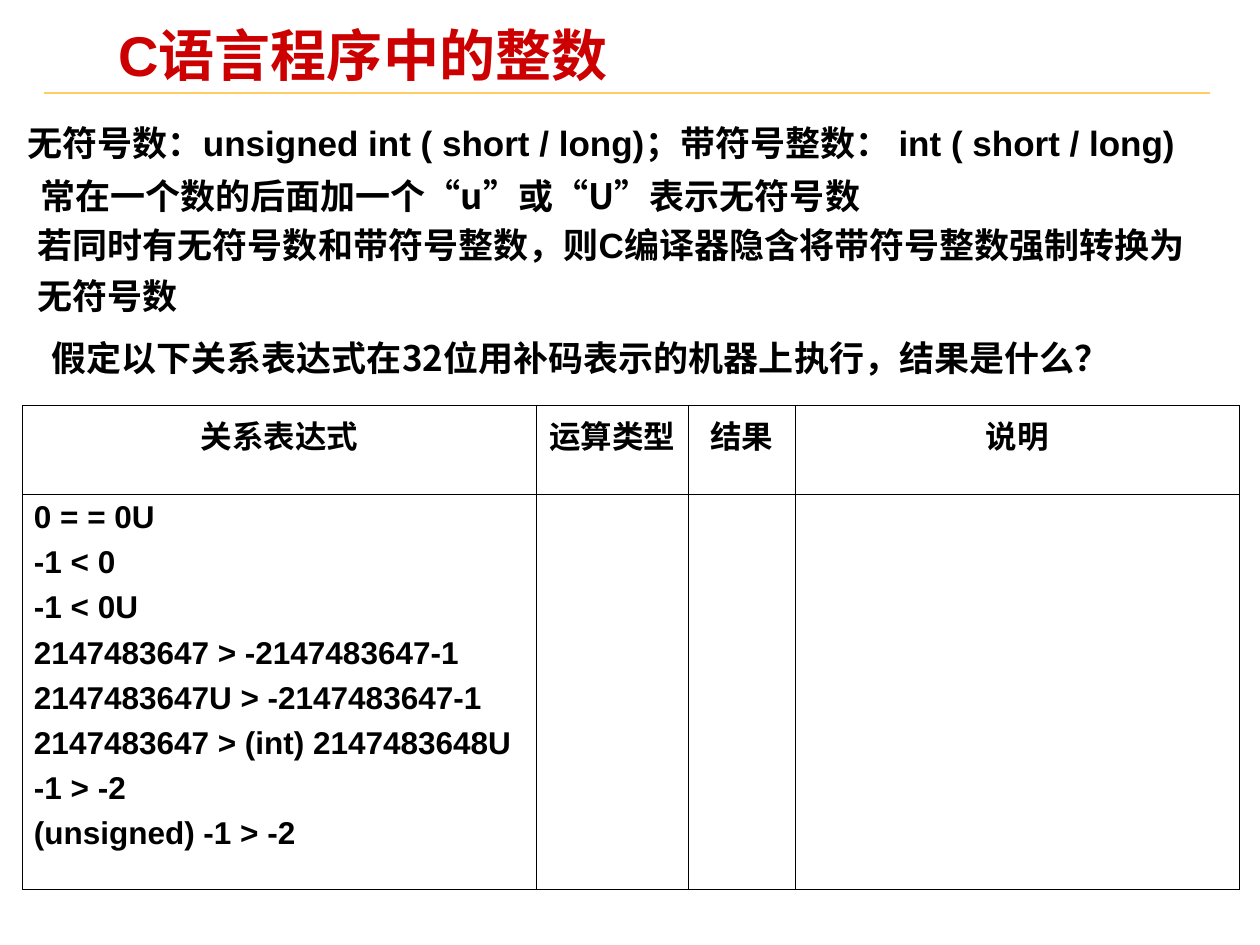
from lxml import etree
from pptx import Presentation
from pptx.dml.color import RGBColor
from pptx.enum.shapes import MSO_CONNECTOR
from pptx.enum.text import MSO_ANCHOR, PP_ALIGN
from pptx.oxml.ns import qn
from pptx.util import Inches, Pt

LINE = MSO_CONNECTOR.STRAIGHT
TOP, MID = MSO_ANCHOR.TOP, MSO_ANCHOR.MIDDLE
LEFT, MID_ROW = PP_ALIGN.LEFT, PP_ALIGN.CENTER

HUES = {"title": "CC0000", "text": "000000", "rule": "FFCC66"}
SANS, HAN = "Arial", "Noto Sans CJK SC"

TITLE = "C语言程序中的整数"
NOTES = [
    ("无符号数：unsigned int ( short / long)；带符号整数： int ( short / long)",
     (0.12, 0.85, 9.51, 0.5), SANS, False, {"line_spacing": 1.2, "space_before": Pt(7.5)}),
    ("常在一个数的后面加一个“u”或“U”表示无符号数",
     (0.22, 1.27, 7.43, 0.5), HAN, True, {"line_spacing": 1.2, "space_before": Pt(7.5)}),
    ("若同时有无符号数和带符号整数，则C编译器隐含将带符号整数强制转换为无符号数",
     (0.2, 1.66, 9.51, 0.9), SANS, True, {"line_spacing": 1.2, "space_before": Pt(7.5)}),
    ("假定以下关系表达式在32位用补码表示的机器上执行，结果是什么？",
     (0.31, 2.62, 8.93, 0.44), HAN, True, {"space_before": Pt(12.5)}),
]
HEADS = ["关系表达式", "运算类型", "结果", "说明"]
TESTS = [
    "0 = = 0U",
    "-1 < 0",
    "-1 < 0U",
    "2147483647 > -2147483647-1",
    "2147483647U > -2147483647-1",
    "2147483647 > (int) 2147483648U",
    "-1 > -2",
    "(unsigned) -1 > -2",
]
COLS = [4.08, 1.2, 0.85, 3.53]
ROWS = [0.7, 3.14]


def apply(item, form):
    for key, val in form.items():
        setattr(item, key, val)


def write(frame, lines, size, face, hue, form, hang=0):
    for num, line in enumerate(lines):
        para = frame.add_paragraph() if num else frame.paragraphs[0]
        apply(para, form)
        if hang:
            props = para._p.get_or_add_pPr()
            props.set("marL", str(Inches(hang)))
            props.set("indent", str(-Inches(hang)))
        run = para.add_run()
        run.text = line
        apply(run.font, {"size": Pt(size), "bold": True, "name": face})
        run.font.color.rgb = RGBColor.from_string(HUES[hue])
        east = etree.SubElement(run._r.get_or_add_rPr(), qn("a:ea"))
        east.set("typeface", HAN)


def place(shape, box):
    apply(shape, dict(zip(("left", "top", "width", "height"), map(Inches, box))))


def pad(frame, side, end, form):
    apply(frame, {"margin_left": Inches(side), "margin_right": Inches(side),
                  "margin_top": Inches(end), "margin_bottom": Inches(end), **form})


def edge(cell):
    props = cell._tc.get_or_add_tcPr()
    for tag in ("a:lnL", "a:lnR", "a:lnT", "a:lnB"):
        line = etree.SubElement(props, qn(tag), w=str(Pt(0.45)))
        fill = etree.SubElement(line, qn("a:solidFill"))
        etree.SubElement(fill, qn("a:srgbClr"), val=HUES["text"])
    cell.fill.background()


def add_rule(slide):
    rule = slide.shapes.add_connector(
        LINE, Inches(0.35), Inches(0.74), Inches(9.6), Inches(0.74))
    rule.line.color.rgb = RGBColor.from_string(HUES["rule"])
    rule.line.width = Pt(1)
    etree.SubElement(rule._element.spPr, qn("a:effectLst"))


def add_title(slide):
    title = slide.shapes.title
    place(title, (0.87, 0.21, 6.64, 0.52))
    pad(title.text_frame, 0.07, 0.03, {"word_wrap": True, "vertical_anchor": MID})
    write(title.text_frame, [TITLE], 32, SANS, "title",
          {"alignment": LEFT, "line_spacing": 0.87})


def add_grid(slide):
    grid = slide.shapes.add_table(
        len(ROWS), len(COLS), Inches(0.18), Inches(3.22),
        Inches(sum(COLS)), Inches(sum(ROWS))).table
    for col, wide in zip(grid.columns, COLS):
        col.width = Inches(wide)
    for row, high in zip(grid.rows, ROWS):
        row.height = Inches(high)
    for cell in grid.iter_cells():
        pad(cell, 0.09, 0.05, {"vertical_anchor": TOP})
        edge(cell)
    for num, head in enumerate(HEADS):
        write(grid.cell(0, num).text_frame, [head], 18, SANS, "text",
              {"alignment": MID_ROW}, 0.22)
    write(grid.cell(1, 0).text_frame, TESTS, 18, SANS, "text",
          {"space_before": Pt(5.6)}, 0.22)


def add_notes(slide):
    for text, box, face, wrap, form in NOTES:
        note = slide.shapes.add_textbox(*map(Inches, box))
        pad(note.text_frame, 0.1, 0.05, {"word_wrap": wrap, "vertical_anchor": TOP})
        write(note.text_frame, [text], 20, face, "text", form)


def main():
    deck = Presentation()
    apply(deck, {"slide_width": Inches(10), "slide_height": Inches(7.5)})
    slide = deck.slides.add_slide(deck.slide_layouts[5])
    add_rule(slide)
    add_title(slide)
    add_grid(slide)
    add_notes(slide)
    deck.save("out.pptx")


if __name__ == "__main__":
    main()
